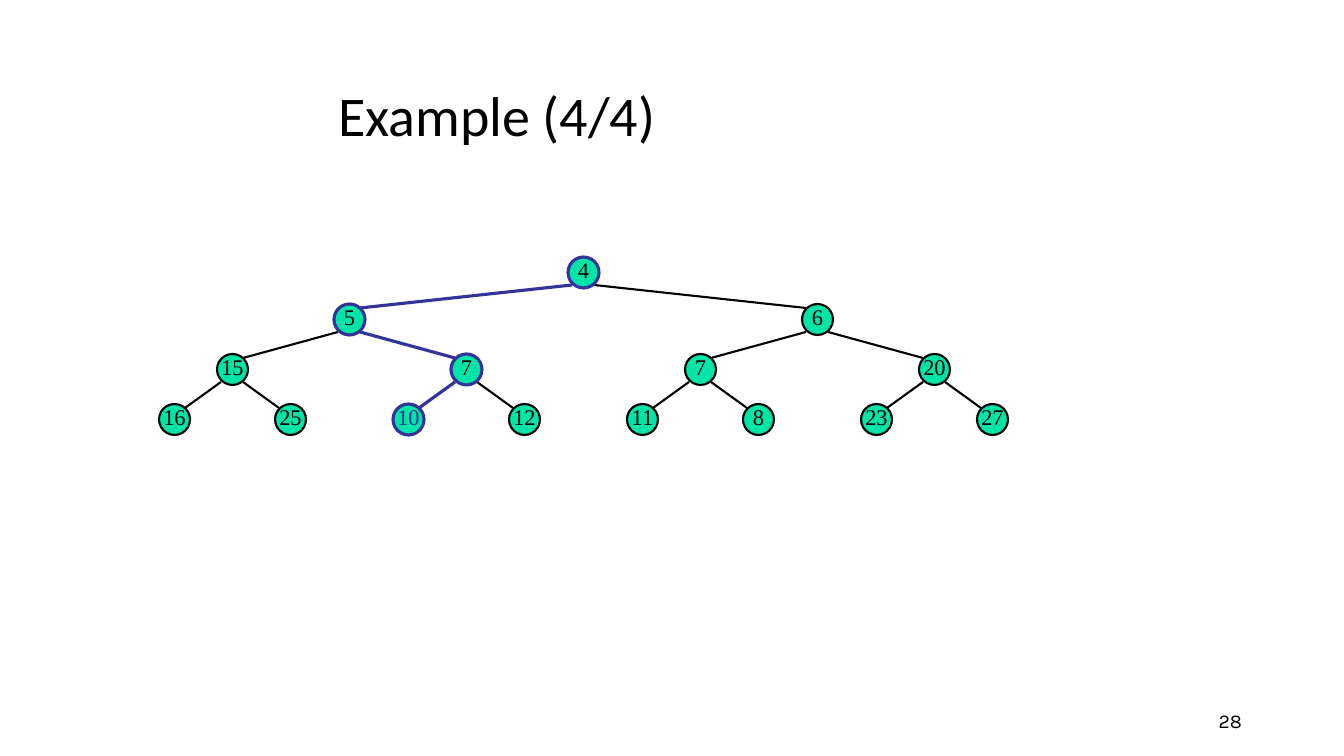
import pptx
import pptx.util
import pptx.dml.color
import pptx.enum.shapes
import pptx.enum.text
import pptx.oxml

PX = 914400 / 100.8
COLORS = {"text": "000000", "node": "00E4A8", "path": "333399"}
ALIGN = pptx.enum.text.PP_ALIGN
KEYS = [4, 5, 6, 15, 7, 7, 20, 16, 25, 10, 12, 11, 8, 23, 27]
INSERT_PATH = {0, 1, 4, 9}
INSERTED = 9
LEVEL_Y = [272, 319, 369, 419]
CHILD_DX = [234, 117, 58]
ROOT_X = 583
NODE = 31


def emu(n):
    return pptx.util.Emu(round(n * PX))


def rgb(name):
    return pptx.dml.color.RGBColor.from_string(COLORS[name])


class Deck:
    def __init__(self, prs):
        self.s = prs.slides.add_slide(prs.slide_layouts[5])

    def put_text(self, shape, text, font, size, align, color="text"):
        tf = shape.text_frame
        tf.vertical_anchor = pptx.enum.text.MSO_ANCHOR.MIDDLE
        p = tf.paragraphs[0]
        p.alignment = align
        r = p.add_run()
        r.text = text
        r.font.name = font
        r.font.size = pptx.util.Pt(size)
        r.font.color.rgb = rgb(color)
        return tf

    def title(self, text, x, y, w, h):
        sp = self.s.shapes.title
        sp.left, sp.top, sp.width, sp.height = map(emu, (x, y, w, h))
        tf = self.put_text(sp, text, "Calibri", 40, ALIGN.LEFT)
        tf.paragraphs[0].line_spacing = 0.9

    def number(self, text, x, y, w, h):
        sp = self.s.shapes.add_textbox(*map(emu, (x, y, w, h)))
        self.put_text(sp, text, "Karla", 14, ALIGN.RIGHT).word_wrap = True

    def outline(self, line, on_path):
        line.color.rgb = rgb("path" if on_path else "text")
        line.width = pptx.util.Pt(2.25 if on_path else 1.5)

    def edge(self, x1, y1, x2, y2, on_path):
        c = self.s.shapes.add_connector(
            pptx.enum.shapes.MSO_CONNECTOR.STRAIGHT, *map(emu, (x1, y1, x2, y2)))
        self.outline(c.line, on_path)
        c._element.spPr.append(pptx.oxml.parse_xml(
            '<a:effectLst xmlns:a="http://schemas.openxmlformats.org/drawingml/2006/main"/>'))

    def node(self, key, x, y, on_path, color):
        sp = self.s.shapes.add_shape(
            pptx.enum.shapes.MSO_SHAPE.OVAL,
            *map(emu, (x - NODE // 2, y - NODE // 2, NODE, NODE)))
        sp.shadow.inherit = False
        sp.fill.solid()
        sp.fill.fore_color.rgb = rgb("node")
        self.outline(sp.line, on_path)
        tf = self.put_text(sp, str(key), "Times New Roman", 16, ALIGN.CENTER, color)
        tf.margin_left = tf.margin_right = tf.margin_top = 0
        tf.margin_bottom = emu(5)
        tf.word_wrap = False


prs = pptx.Presentation()
prs.slide_width, prs.slide_height = emu(1344), emu(756)
deck = Deck(prs)
deck.number("28", 950, 701, 302, 40)
deck.title("Example (4/4)", 328, 68, 495, 100)

centers = [(ROOT_X, LEVEL_Y[0])]
for i in range(1, len(KEYS)):
    px, py = centers[(i - 1) // 2]
    level = (i + 1).bit_length() - 1
    side = -1 if i % 2 else 1
    x, y = px + side * CHILD_DX[level - 1], LEVEL_Y[level]
    centers.append((x, y))
    deck.edge(px + side * 11, py + 13, x - side * 11, y - 11, i in INSERT_PATH)

for i, (key, (x, y)) in enumerate(zip(KEYS, centers)):
    deck.node(key, x, y, i in INSERT_PATH, "path" if i == INSERTED else "text")

prs.save("out.pptx")
